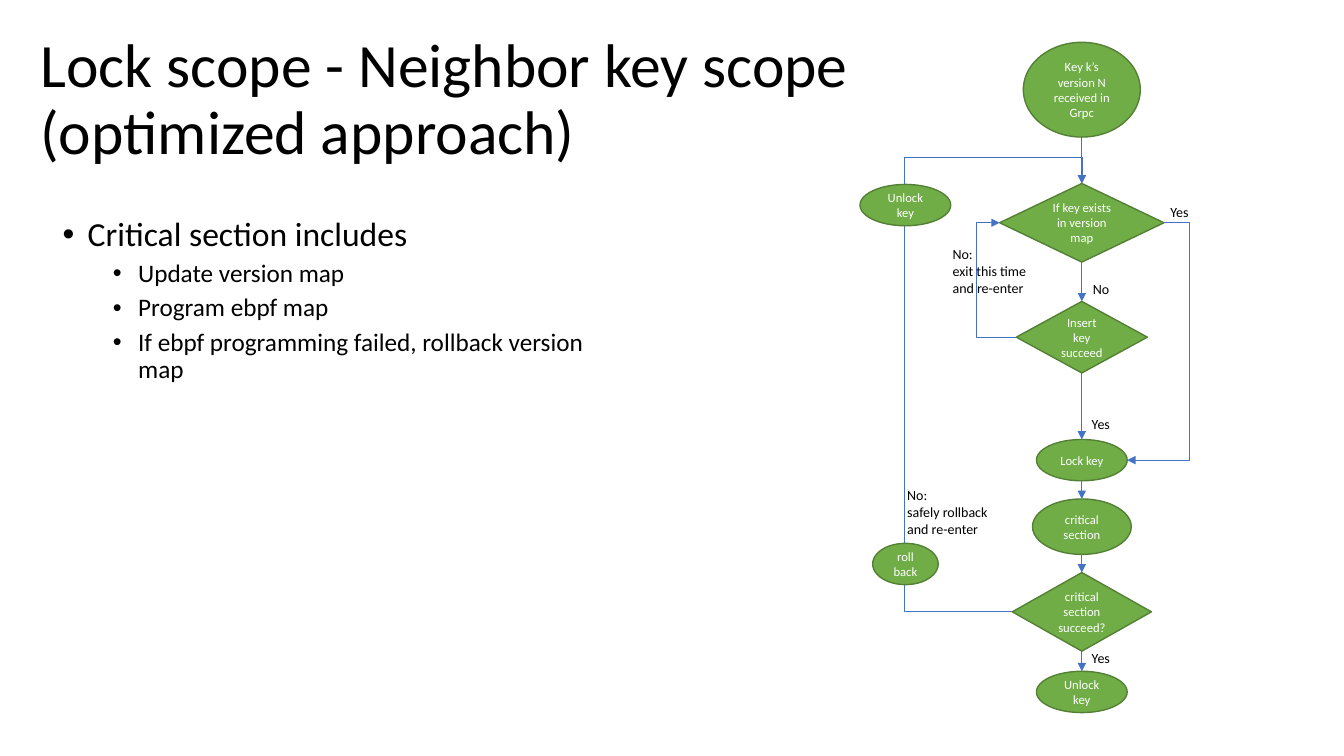
from lxml import etree
from pptx import Presentation
from pptx.dml.color import RGBColor
from pptx.enum.shapes import MSO_CONNECTOR, MSO_SHAPE
from pptx.enum.text import MSO_ANCHOR, MSO_AUTO_SIZE, PP_ALIGN
from pptx.oxml.ns import qn
from pptx.util import Inches, Pt

# Content
TITLE = "Lock scope - Neighbor key scope (optimized approach)"
BULLETS = [
    (0, "Critical section includes"),
    (1, "Update version map"),
    (1, "Program ebpf map"),
    (1, "If ebpf programming failed, rollback version map"),
]
LEVELS = [(24, 10, 0.25), (18, 5, 0.75)]  # size, space before, indent

MAIN, SIDE = 10.73, 8.98  # centre lines of the two flow columns
OVAL, DIAMOND = MSO_SHAPE.OVAL, MSO_SHAPE.DIAMOND
# name: shape, top, width, height, paragraphs
MAIN_NODES = {
    "received": (OVAL, 0.42, 1.16, 0.94, ["Key k’s version N", "received in Grpc"]),
    "exists": (DIAMOND, 1.82, 1.63, 0.78, ["If key exists in version map"]),
    "insert": (DIAMOND, 2.99, 1.3, 0.71, ["Insert key succeed"]),
    "lock": (OVAL, 4.36, 0.9, 0.41, ["Lock key"]),
    "critical": (OVAL, 4.95, 0.98, 0.55, ["critical section"]),
    "succeed": (DIAMOND, 5.68, 1.38, 0.78, ["critical section succeed?"]),
    "unlock": (OVAL, 6.66, 0.9, 0.41, ["Unlock key"]),
}
SIDE_NODES = {
    "unlock to retry": (OVAL, 1.83, 0.9, 0.41, ["Unlock key"]),
    "roll back": (OVAL, 5.39, 0.65, 0.41, ["roll back"]),
}
# from, side, to, side, x of the vertical run, y of the return run
BENT_ARROWS = [
    ("insert", "left", "exists", "left", 9.68, None),
    ("exists", "right", "lock", "right", 11.8, None),
    ("succeed", "left", "exists", "top", 8.97, 1.56),
]
# left, top, height, paragraphs
LABELS = [
    (11.51, 1.97, 0.27, ["Yes"]),
    (10.74, 2.73, 0.27, ["No"]),
    (10.73, 4.07, 0.27, ["Yes"]),
    (10.73, 6.39, 0.27, ["Yes"]),
    (9.35, 2.39, 0.61, ["No:", "exit this time and re-enter"]),
    (8.9, 4.78, 0.61, ["No:", "safely rollback and re-enter"]),
]

# Connection sites: x share, y share, site number on a diamond and on an oval
SITES = {
    "top": (0.5, 0, 0, 0),
    "left": (0, 0.5, 1, 2),
    "bottom": (0.5, 1, 2, 4),
    "right": (1, 0.5, 3, 6),
}

prs = Presentation()
prs.slide_width, prs.slide_height = Inches(13.33), Inches(7.5)
slide = prs.slides.add_slide(prs.slide_layouts[1])
shapes = slide.shapes
nodes = {}


def rgb(value):
    return RGBColor.from_string(value)


def style(paragraph, text, size, color, align=PP_ALIGN.LEFT):
    run = paragraph.add_run()
    run.text = text
    run.font.name, run.font.size = "Calibri", Pt(size)
    run.font.color.rgb = rgb(color)
    paragraph.alignment = align


def write(frame, lines, size, color, align=PP_ALIGN.LEFT):
    frame.word_wrap = True
    for i, line in enumerate(lines):
        paragraph = frame.add_paragraph() if i else frame.paragraphs[0]
        style(paragraph, line, size, color, align)


def place(shape, *box):
    shape.left, shape.top, shape.width, shape.height = map(Inches, box)


def add_nodes(specs, center):
    for name, (kind, top, width, height, lines) in specs.items():
        left = center - width / 2
        node = shapes.add_shape(kind, *map(Inches, (left, top, width, height)))
        node.shadow.inherit = False
        node.fill.solid()
        node.fill.fore_color.rgb = rgb("70AD47")
        node.line.color.rgb = rgb("538035")
        node.line.width = Pt(1)
        node.text_frame.vertical_anchor = MSO_ANCHOR.MIDDLE
        write(node.text_frame, lines, 9, "FFFFFF", PP_ALIGN.CENTER)
        nodes[name] = node


def site(name, side):
    node, (dx, dy, on_diamond, on_oval) = nodes[name], SITES[side]
    number = on_oval if node.auto_shape_type == OVAL else on_diamond
    return int(node.left + dx * node.width), int(node.top + dy * node.height), number


def arrow(start, start_side, end, end_side, kind=MSO_CONNECTOR.STRAIGHT):
    x0, y0, start_site = site(start, start_side)
    x1, y1, end_site = site(end, end_side)
    line = shapes.add_connector(kind, x0, y0, x1, y1)
    line.line.color.rgb = rgb("4472C4")
    line.line.width = Pt(0.5)
    etree.SubElement(line.line._get_or_add_ln(), qn("a:tailEnd"), type="triangle")
    etree.SubElement(line._element.spPr, qn("a:effectLst"))
    # Glue both ends to their nodes
    glue = line._element.find(".//" + qn("p:cNvCxnSpPr"))
    for tag, name, number in (("a:stCxn", start, start_site), ("a:endCxn", end, end_site)):
        etree.SubElement(glue, qn(tag), id=str(nodes[name].shape_id), idx=str(number))
    return line


def bent_arrow(start, start_side, end, end_side, lane_x, lane_y):
    line = arrow(start, start_side, end, end_side, MSO_CONNECTOR.ELBOW)
    x0, y0, x1, y1 = line.begin_x, line.begin_y, line.end_x, line.end_y
    bends = [(Inches(lane_x) - x0) / (x1 - x0)]
    geometry = line._element.spPr.find(qn("a:prstGeom"))
    if lane_y is not None:
        bends.append((Inches(lane_y) - y0) / (y1 - y0))
        geometry.set("prst", "bentConnector4")
    guides = geometry.find(qn("a:avLst"))
    for i, share in enumerate(bends, 1):
        etree.SubElement(guides, qn("a:gd"), name=f"adj{i}", fmla=f"val {round(share * 100000)}")


# Title and bullet list
title, body = shapes.title, slide.placeholders[1]
place(title, 0.3, 0.28, 9.01, 1.45)
title.text_frame.auto_size = MSO_AUTO_SIZE.NONE
title.text_frame.vertical_anchor = MSO_ANCHOR.MIDDLE
write(title.text_frame, [TITLE], 44, "000000")
title.text_frame.paragraphs[0].line_spacing = 0.9

place(body, 0.52, 2.11, 5.46, 5.39)
body.text_frame.auto_size = MSO_AUTO_SIZE.NONE
for i, (level, text) in enumerate(BULLETS):
    size, before, indent = LEVELS[level]
    item = body.text_frame.add_paragraph() if i else body.text_frame.paragraphs[0]
    style(item, text, size, "000000")
    item.level, item.line_spacing, item.space_before = level, 0.9, Pt(before)
    props = item._p.get_or_add_pPr()
    props.set("marL", str(Inches(indent)))
    props.set("indent", str(Inches(-0.25)))
    etree.SubElement(props, qn("a:buFont"), typeface="Arial")
    etree.SubElement(props, qn("a:buChar"), char="•")

# Flowchart: main column, its arrows, then the ovals on the retry line
add_nodes(MAIN_NODES, MAIN)
names = list(MAIN_NODES)
for upper, lower in zip(names, names[1:]):
    arrow(upper, "bottom", lower, "top")
for bend in BENT_ARROWS:
    bent_arrow(*bend)
add_nodes(SIDE_NODES, SIDE)

# Branch labels
for left, top, height, lines in LABELS:
    label = shapes.add_textbox(*map(Inches, (left, top, 1.06, height)))
    write(label.text_frame, lines, 10, "000000")

prs.save("out.pptx")
